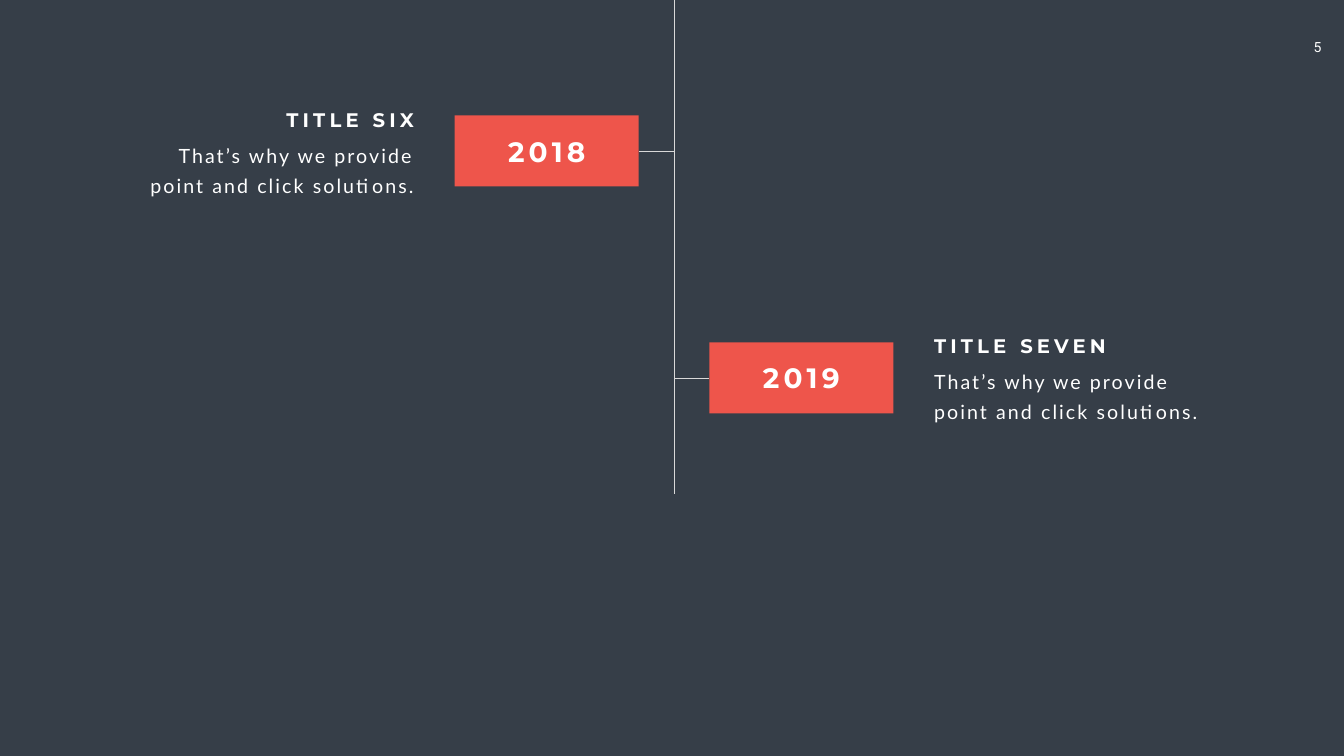
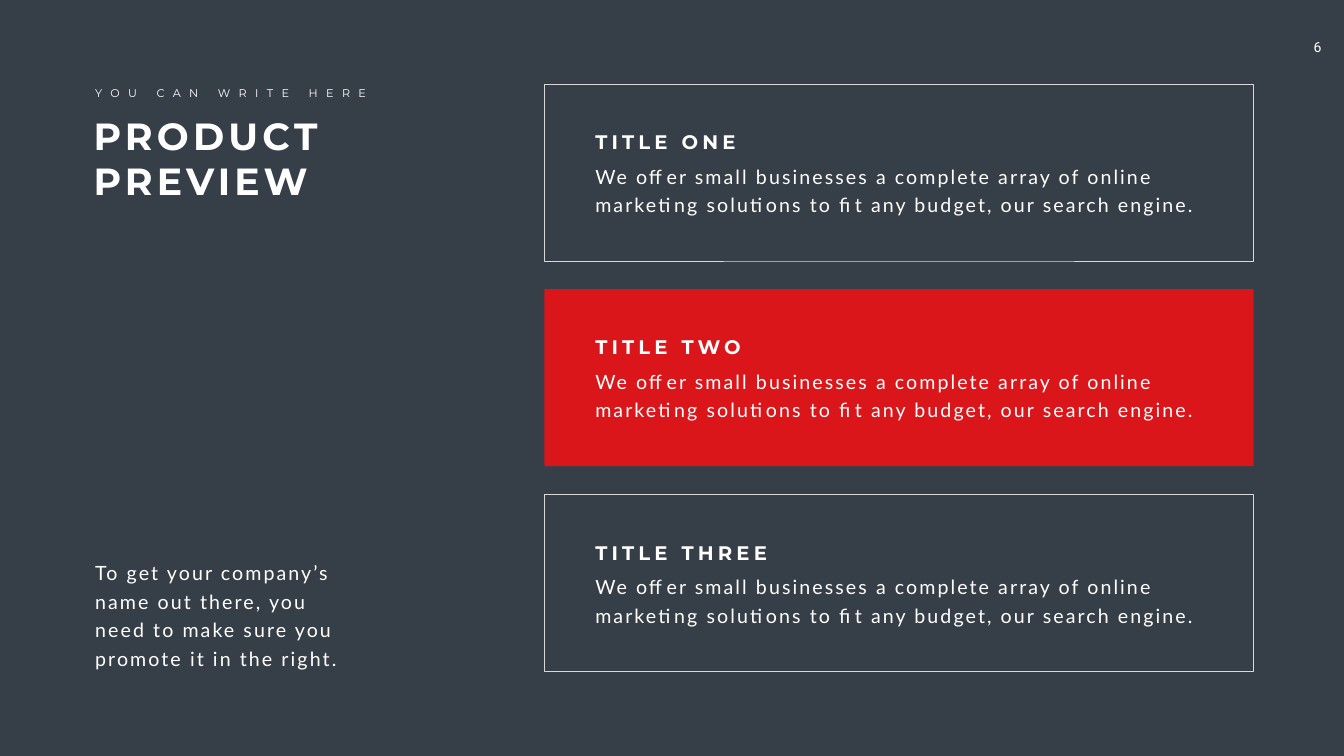
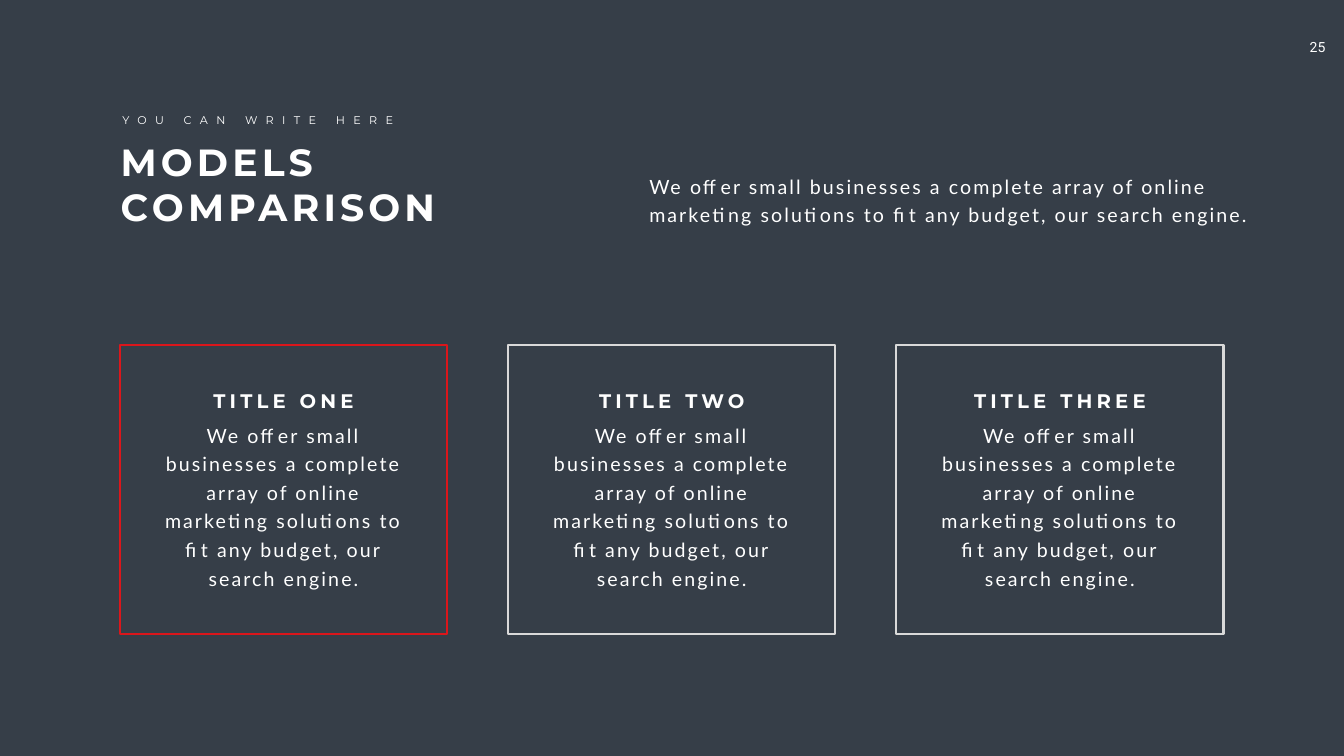
from dataclasses import dataclass

from lxml import etree
from pptx import Presentation
from pptx.dml.color import RGBColor
from pptx.enum import shapes, text
from pptx.oxml import ns
from pptx.util import Pt

SLATE = RGBColor(0x36, 0x3E, 0x48)
WHITE = RGBColor(0xFF, 0xFF, 0xFF)
SILVER = RGBColor(0xD9, 0xD9, 0xD9)
CORAL = RGBColor(0xEE, 0x55, 0x4B)
RED = RGBColor(0xDB, 0x16, 0x1B)

LEFT, CENTER, RIGHT = text.PP_ALIGN.LEFT, text.PP_ALIGN.CENTER, text.PP_ALIGN.RIGHT
TITLE_ONLY, BLANK = 5, 6
SIDE_LEFT, SIDE_RIGHT = 1, 3

OFFER = ("We offer small businesses a complete array of online marketing "
         "solutions to fit any budget, our search engine.")
SOLUTIONS = "That’s why we provide point and click solutions."
PITCH = ("To get your company’s name out there, you need to make sure you "
         "promote it in the right.")
CARD_TITLES = ["TITLE ONE", "TITLE TWO", "TITLE THREE"]


@dataclass
class TextStyle:
    font: str
    size: float
    bold: bool = False
    tracking: float = 0


TITLE = TextStyle("Montserrat", 54, True, 6)
KICKER = TextStyle("Montserrat", 16, False, 12)
YEAR = TextStyle("Montserrat", 40, True, 6)
HEADING = TextStyle("Montserrat", 28, True, 6)
BODY = TextStyle("Lato", 28, False, 3)
PAGE_NUMBER = TextStyle("Roboto", 20)


class Deck:
    heading_width, heading_height = 317.5, 41
    body_offset = 42
    leading = 40.8

    def __init__(self):
        self.presentation = Presentation()
        self.presentation.slide_width = Pt(1919.52)
        self.presentation.slide_height = Pt(1080)
        fill = self.presentation.slide_master.background.fill
        fill.solid()
        fill.fore_color.rgb = SLATE
        self.slide = None

    def add_slide(self, layout, number):
        layouts = self.presentation.slide_layouts
        self.slide = self.presentation.slides.add_slide(layouts[layout])
        box = self.text(1849.7, 48.2, 72.7, 38.9, str(number), PAGE_NUMBER, CENTER)
        frame = box.text_frame
        frame.margin_left, frame.margin_right = Pt(14.4), Pt(23)
        frame.margin_top = frame.margin_bottom = Pt(7.2)

    def set_text(self, shape, words, style, align=LEFT, leading=1.0):
        """Fill a shape with one styled paragraph; leading is in points if above 1."""
        paragraph = shape.text_frame.paragraphs[0]
        paragraph.alignment = align
        paragraph.line_spacing = Pt(leading) if leading > 1 else leading
        run = paragraph.add_run()
        run.text = words
        run.font.name = style.font
        run.font.size = Pt(style.size)
        run.font.bold = style.bold
        run.font.color.rgb = WHITE
        if style.tracking:
            run._r.get_or_add_rPr().set("spc", str(int(style.tracking * 100)))

    def text(self, left, top, width, height, words, style, align=LEFT,
             leading=1.0, wrap=True):
        box = self.slide.shapes.add_textbox(Pt(left), Pt(top), Pt(width), Pt(height))
        box.text_frame.word_wrap = wrap
        box.text_frame.auto_size = text.MSO_AUTO_SIZE.SHAPE_TO_FIT_TEXT
        self.set_text(box, words, style, align, leading)
        return box

    def title(self, left, top, width, words):
        """Small kicker line with the slide title below it."""
        self.text(left, top, 416, 26.6, "YOU CAN WRITE HERE", KICKER, wrap=False)
        title = self.slide.shapes.title
        title.left, title.top = Pt(left - 2.5), Pt(top + 36.5)
        title.width, title.height = Pt(width), Pt(138.2)
        frame = title.text_frame
        frame.word_wrap = True
        frame.auto_size = text.MSO_AUTO_SIZE.SHAPE_TO_FIT_TEXT
        frame.vertical_anchor = text.MSO_ANCHOR.TOP
        self.set_text(title, words, TITLE)

    def entry(self, left, top, width, height, heading, body, align=LEFT, leading=leading):
        """Heading above a body text, both aligned the same way."""
        share = {LEFT: 0, CENTER: 0.5, RIGHT: 1}[align]
        heading_left = left + (width - self.heading_width) * share
        self.text(heading_left, top, self.heading_width, self.heading_height,
                  heading, HEADING, align)
        self.text(left, top + self.body_offset, width, height, body, BODY, align, leading)

    def rectangle(self, left, top, width, height, fill=None, line=None, weight=1):
        shape = self.slide.shapes.add_shape(
            shapes.MSO_SHAPE.RECTANGLE, Pt(left), Pt(top), Pt(width), Pt(height))
        shape.shadow.inherit = False
        if fill is None:
            shape.fill.background()
        else:
            shape.fill.solid()
            shape.fill.fore_color.rgb = fill
        if line is None:
            shape.line.fill.background()
        else:
            shape.line.color.rgb = line
            shape.line.width = Pt(weight)
        return shape

    def line(self, x1, y1, x2, y2):
        connector = self.slide.shapes.add_connector(
            shapes.MSO_CONNECTOR.STRAIGHT, Pt(x1), Pt(y1), Pt(x2), Pt(y2))
        connector.line.color.rgb = SILVER
        connector.line.width = Pt(0.5)
        etree.SubElement(connector._element.spPr, ns.qn("a:effectLst"))
        return connector


def timeline(deck):
    deck.add_slide(BLANK, 5)
    axis, stub, gap = 962.64, 50.4, 51.1
    box_width, box_height = 262.8, 101.5
    text_width, text_height = 392.4, 90
    deck.line(axis, 0, axis, 706.3)

    milestones = [("2018", "TITLE SIX", 215.7, True),
                  ("2019", "TITLE SEVEN", 539.7, False)]
    for year, heading, middle, on_left in milestones:
        top = middle - box_height / 2
        if on_left:
            box_left = axis - stub - box_width
            text_left = box_left - gap - text_width
            side, align = SIDE_RIGHT, RIGHT
        else:
            box_left = axis + stub
            text_left = box_left + box_width + gap
            side, align = SIDE_LEFT, LEFT
        box = deck.rectangle(box_left, top, box_width, box_height, fill=CORAL)
        box.text_frame.vertical_anchor = text.MSO_ANCHOR.MIDDLE
        deck.set_text(box, year, YEAR, CENTER)
        deck.line(axis, middle, axis, middle).end_connect(box, side)
        deck.entry(text_left, top - 14.9, text_width, text_height,
                   heading, SOLUTIONS, align, leading=43)


def product_preview(deck):
    deck.add_slide(TITLE_ONLY, 6)
    deck.title(128.9, 120.2, 460.8, "PRODUCT PREVIEW")
    deck.text(128.9, 790.6, 362.9, 168.5, PITCH, BODY, leading=deck.leading)
    for index, heading in enumerate(CARD_TITLES):
        top = 120.2 + 293 * index
        look = {"fill": RED} if index == 1 else {"line": SILVER}
        deck.rectangle(777.6, top, 1013, 252.7, **look)
        deck.entry(843.1, top + 62.3, 885.6, 85.7, heading, OFFER)


def models_comparison(deck):
    deck.add_slide(TITLE_ONLY, 25)
    deck.title(167.6, 158.2, 517, "MODELS COMPARISON")
    deck.text(920.2, 239, 880.6, 85.7, OFFER, BODY, leading=deck.leading)
    for index, heading in enumerate(CARD_TITLES):
        left, top = 171.4 + 554.4 * index, 492.5
        deck.rectangle(left, top, 467.3, 413.3,
                       line=RED if index == 0 else SILVER, weight=3)
        deck.entry(left + 55.4, top + 60, 356.4, 251.3, heading, OFFER, CENTER)


def main():
    deck = Deck()
    timeline(deck)
    product_preview(deck)
    models_comparison(deck)
    deck.presentation.save("out.pptx")


if __name__ == "__main__":
    main()
